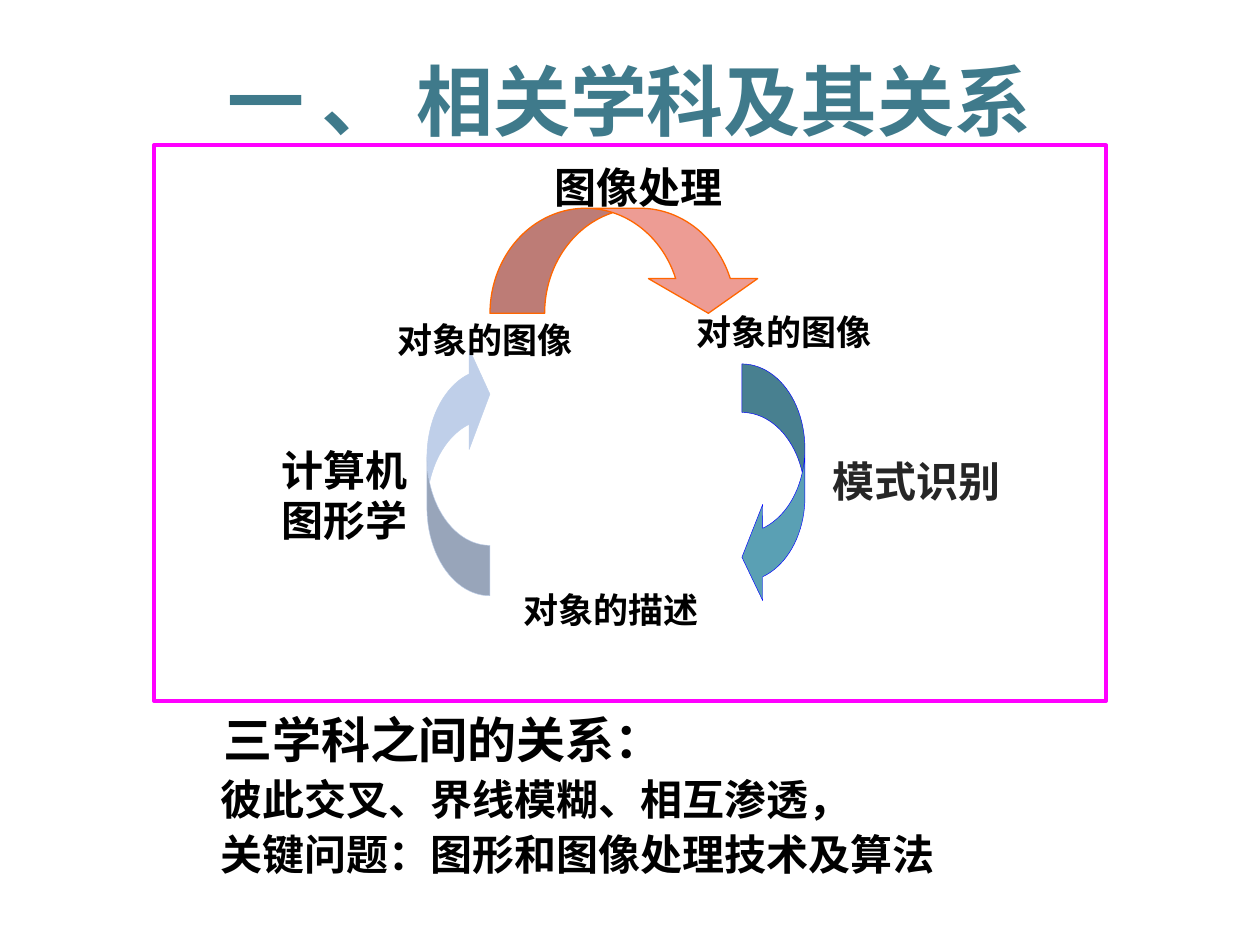
from dataclasses import dataclass

from lxml.etree import SubElement
from pptx import Presentation
from pptx.dml.color import RGBColor
from pptx.enum.shapes import MSO_SHAPE as Preset
from pptx.enum.text import MSO_ANCHOR as Anchor, PP_ALIGN as Align
from pptx.oxml.ns import qn
from pptx.util import Pt

FONT = "Noto Sans CJK SC"


@dataclass
class Label:
    lines: list[str]
    box: tuple[float, float, float, float]  # left, top, width, height
    size: float
    color: str = "000000"
    spacing: float = 1.0
    align: Align = Align.LEFT
    anchor: Anchor = Anchor.TOP
    wrap: bool = True


@dataclass
class Outline:
    preset: Preset
    box: tuple[float, float, float, float]
    line: str
    weight: float
    fill: str | None = None
    adjustments: tuple[float, ...] = ()
    flips: tuple[str, ...] = ()


def rgb(color: str) -> RGBColor:
    return RGBColor.from_string(color)


def draw_label(slide, label: Label) -> None:
    frame = slide.shapes.add_textbox(*map(Pt, label.box)).text_frame
    frame.word_wrap = label.wrap
    frame.vertical_anchor = label.anchor
    frame.text = "\n".join(label.lines)
    for paragraph in frame.paragraphs:
        paragraph.alignment = label.align
        paragraph.line_spacing = label.spacing
        font = paragraph.font
        font.name, font.size, font.bold = FONT, Pt(label.size), True
        font.color.rgb = rgb(label.color)
        # East Asian typeface
        properties = paragraph._p.pPr.find(qn("a:defRPr"))
        SubElement(properties, qn("a:ea"), typeface=FONT)


def draw_outline(slide, outline: Outline) -> None:
    shape = slide.shapes.add_shape(outline.preset, *map(Pt, outline.box))
    shape.shadow.inherit = False
    if outline.fill:
        shape.fill.solid()
        shape.fill.fore_color.rgb = rgb(outline.fill)
    else:
        shape.fill.background()
    shape.line.color.rgb = rgb(outline.line)
    shape.line.width = Pt(outline.weight)
    for index, value in enumerate(outline.adjustments):
        shape.adjustments[index] = value
    for flip in outline.flips:
        shape._element.spPr.xfrm.set(flip, "1")


# Title and conclusions
TEXTS = [
    Label(["一 、 相关学科及其关系"], (54, 16, 612, 71), 44, "3F7A8B", 1.2,
          Align.CENTER, Anchor.MIDDLE),
    Label(["三学科之间的关系："], (120.5, 402, 334, 41), 28),
    Label(["彼此交叉、界线模糊、相互渗透，", "关键问题：图形和图像处理技术及算法"],
          (119, 435.5, 424, 71), 24, spacing=1.1, wrap=False),
]

# Frame and cycle arrows
OUTLINES = [
    Outline(Preset.RECTANGLE, (88, 83, 544, 317.5), "FF00FF", 2.25),
    Outline(Preset.CURVED_RIGHT_ARROW, (424, 208, 36, 138), "0000FF", 0.25,
            "5AA0B4", (0.77, 1.53, 0.33), ("flipH",)),
    Outline(Preset.CURVED_LEFT_ARROW, (244, 196.5, 36, 144), "BFCFE9", 0.25,
            "BFCFE9", (0.8, 1.6, 0.33), ("flipH", "flipV")),
    Outline(Preset.CURVED_DOWN_ARROW, (280, 119, 156, 60), "FF6600", 0.75,
            "ED9C94", (0.52, 1.04, 0.33)),
]

# Disciplines (24 pt) and the objects they connect (20 pt)
CYCLE_LABELS = [
    Label(["图像处理"], (310, 88.5, 113, 36), 24),
    Label(["计算机图形学"], (154, 250.5, 90, 65.5), 24),
    Label(["模式识别"], (468.5, 257, 123, 36), 24, "262626"),
    Label(["对象的图像"], (220, 178.5, 129, 32), 20),
    Label(["对象的图像"], (391, 174, 134, 32), 20),
    Label(["对象的描述"], (292, 333, 132, 32), 20),
]


def main() -> None:
    presentation = Presentation()
    presentation.slide_width, presentation.slide_height = Pt(720), Pt(540)
    slide = presentation.slides.add_slide(presentation.slide_layouts[6])
    for label in TEXTS:
        draw_label(slide, label)
    for outline in OUTLINES:
        draw_outline(slide, outline)
    for label in CYCLE_LABELS:
        draw_label(slide, label)
    presentation.save("out.pptx")


if __name__ == "__main__":
    main()
